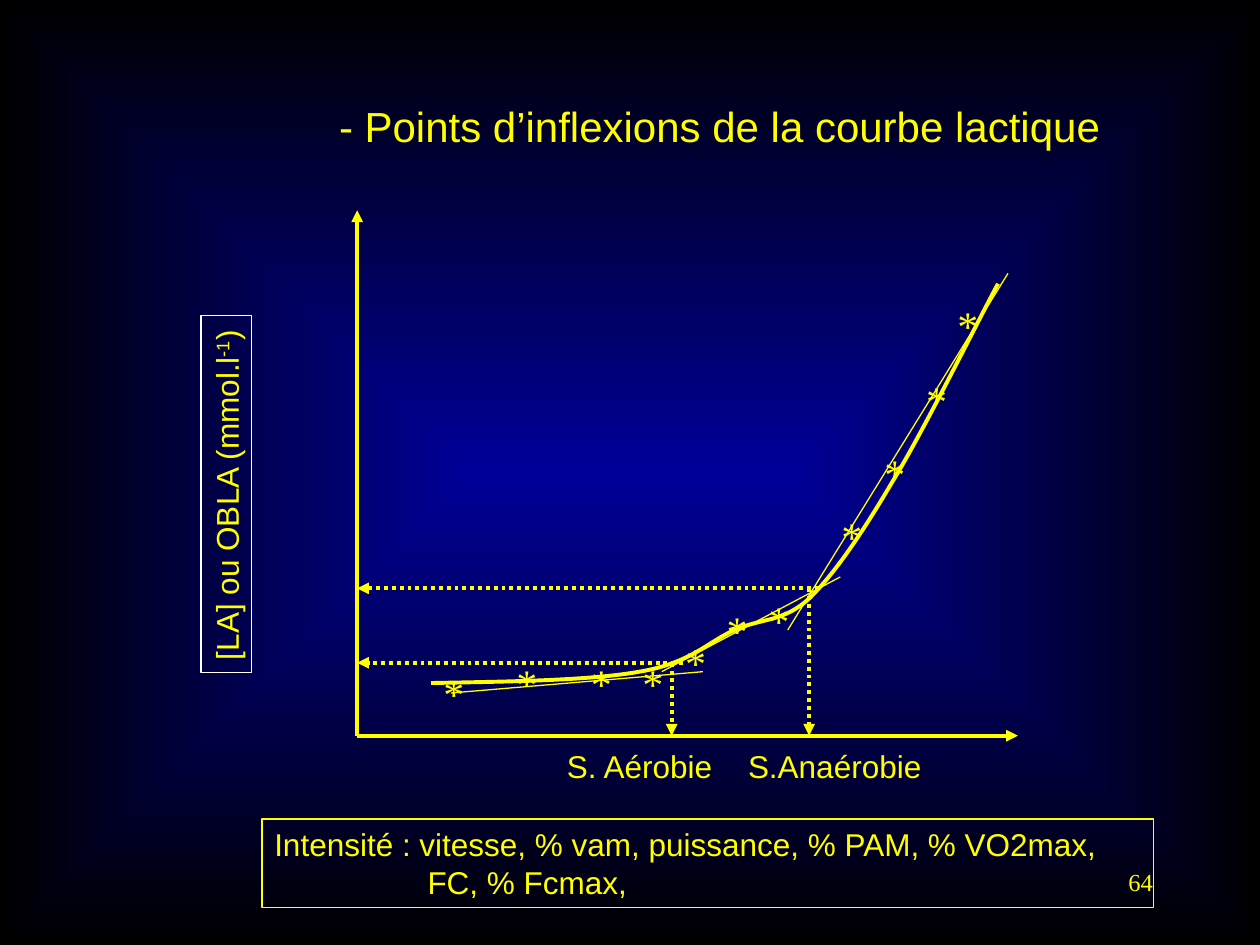
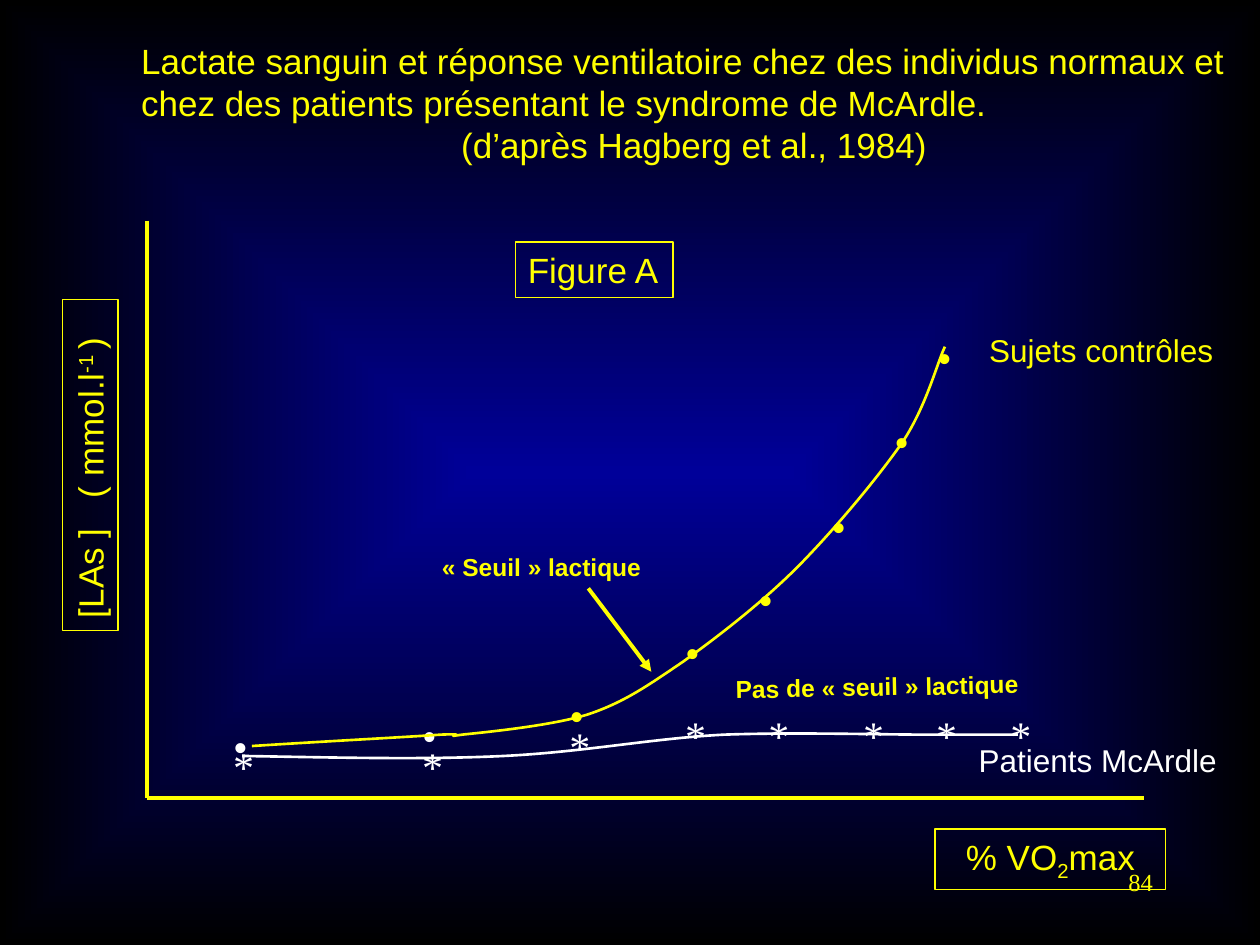
from dataclasses import dataclass
from typing import NamedTuple

from lxml import etree
from pptx import Presentation
from pptx.dml.color import RGBColor
from pptx.enum import dml, shapes, text
from pptx.oxml.ns import qn
from pptx.util import Cm, Pt

YELLOW, WHITE = "FFFF00", "FFFFFF"
NAVY, BLACK = "000099", "000000"
SANS, SERIF = "Arial", "Times New Roman"
LEFT, CENTER, RIGHT = text.PP_ALIGN.LEFT, text.PP_ALIGN.CENTER, text.PP_ALIGN.RIGHT
Point = tuple[float, float]


class Run(NamedTuple):
    text: str
    baseline: int = 0  # percent: positive raises, negative lowers


@dataclass
class Label:
    """A text box; lengths in centimetres."""
    left: float
    top: float
    width: float
    height: float
    runs: list[Run]
    size: int = 18
    font: str = SANS
    color: str = YELLOW
    bold: bool = False
    align: text.PP_ALIGN = LEFT
    border: str = ""
    rotation: float = 0
    wrap: bool = False
    tab: float = 0
    hanging: float = 0


@dataclass
class Line:
    start: Point
    end: Point
    width: float = 2.25
    arrow: bool = False
    dotted: bool = False


@dataclass
class Curve:
    """Start point, then three points for each Bézier segment."""
    points: list[Point]
    width: float
    color: str = YELLOW


@dataclass
class Markers:
    symbol: str
    width: float
    places: list[Point]
    color: str = YELLOW


def rgb(value: str) -> RGBColor:
    return RGBColor.from_string(value)


def add_runs(p, runs: list[Run], size: int, font: str = SANS,
             color: str = YELLOW, bold: bool = False) -> None:
    for run in runs:
        if run.text == "\n":
            p.add_line_break()
            continue
        r = p.add_run()
        r.text = run.text
        r.font.size, r.font.name, r.font.bold = Pt(size), font, bold
        r.font.color.rgb = rgb(color)
        if run.baseline:
            r.font._element.set("baseline", str(run.baseline * 1000))


def add_label(s, label: Label) -> None:
    place = [Cm(v) for v in (label.left, label.top, label.width, label.height)]
    if label.border:
        sp = s.shapes.add_shape(shapes.MSO_SHAPE.RECTANGLE, *place)
        sp.shadow.inherit = False
        sp.fill.background()
        sp.line.color.rgb = rgb(label.border)
        sp.line.width = Pt(0.75)
    else:
        sp = s.shapes.add_textbox(*place)
    sp.rotation = label.rotation
    tf = sp.text_frame
    tf.word_wrap = label.wrap
    tf.vertical_anchor = text.MSO_ANCHOR.TOP
    p = tf.paragraphs[0]
    p.alignment = label.align
    pPr = p._p.get_or_add_pPr()
    if label.hanging:
        pPr.set("marL", str(Cm(label.hanging)))
        pPr.set("indent", str(-Cm(label.hanging)))
    if label.tab:
        tabs = etree.SubElement(pPr, qn("a:tabLst"))
        etree.SubElement(tabs, qn("a:tab"), pos=str(Cm(label.tab)), algn="l")
    add_runs(p, label.runs, label.size, label.font, label.color, label.bold)


def add_line(s, line: Line) -> None:
    cx = s.shapes.add_connector(shapes.MSO_CONNECTOR.STRAIGHT,
                                *(Cm(v) for v in line.start + line.end))
    cx.line.color.rgb = rgb(YELLOW)
    cx.line.width = Pt(line.width)
    if line.dotted:
        cx.line.dash_style = dml.MSO_LINE.ROUND_DOT
    if line.arrow:
        etree.SubElement(cx.line._get_or_add_ln(), qn("a:tailEnd"), type="triangle")
    etree.SubElement(cx._element.spPr, qn("a:effectLst"))


def add_curve(s, curve: Curve) -> None:
    points = [(Cm(x), Cm(y)) for x, y in curve.points]
    builder = s.shapes.build_freeform(*points[0])
    builder.add_line_segments(points[1:], close=False)
    sp = builder.convert_to_shape()
    sp.shadow.inherit = False
    sp.fill.background()
    sp.line.color.rgb = rgb(curve.color)
    sp.line.width = Pt(curve.width)
    # Turn every three straight segments into one Bézier segment
    outline = next(sp._element.iter(qn("a:path")))
    segments = outline.findall(qn("a:lnTo"))
    for i in range(0, len(segments), 3):
        bezier = etree.SubElement(outline, qn("a:cubicBezTo"))
        for segment in segments[i:i + 3]:
            bezier.append(segment[0])
            outline.remove(segment)


def add_markers(s, markers: Markers) -> None:
    for left, top in markers.places:
        add_label(s, Label(left, top, markers.width, 1.27, [Run(markers.symbol)],
                           24, SERIF, markers.color))


def set_background(master) -> None:
    fill = master.background.fill
    fill.gradient()
    for stop, color in zip(fill.gradient_stops, (NAVY, BLACK)):
        stop.color.rgb = rgb(color)
    grad = next(master.element.iter(qn("a:gradFill")))
    for lin in grad.findall(qn("a:lin")):
        grad.remove(lin)
    rect = etree.SubElement(grad, qn("a:path"), path="rect")
    etree.SubElement(rect, qn("a:fillToRect"), {side: "50000" for side in "ltrb"})


def add_slide(prs, number: str, place: tuple, size: int,
              title: list[tuple[str, text.PP_ALIGN]], parts: list):
    s = prs.slides.add_slide(prs.slide_layouts.get_by_name("Title Only"))
    sp = s.shapes.title
    sp.left, sp.top, sp.width, sp.height = (Cm(v) for v in place)
    tf = sp.text_frame
    tf.auto_size = text.MSO_AUTO_SIZE.NONE
    tf.word_wrap = True
    tf.vertical_anchor = text.MSO_ANCHOR.TOP
    for i, (line, align) in enumerate(title):
        p = tf.add_paragraph() if i else tf.paragraphs[0]
        p.alignment = align
        add_runs(p, [Run(line)], size)
    add_label(s, Label(18.21, 17.35, 5.28, 1.27, [Run(number)], 14, SERIF,
                       align=RIGHT, wrap=True))
    draw = {Label: add_label, Line: add_line, Curve: add_curve, Markers: add_markers}
    for part in parts:
        draw[type(part)](s, part)


def lactate_curve_parts() -> list:
    origin_x, origin_y = 7.2, 14.83
    aerobic_y, anaerobic_y = 13.36, 11.86
    return [
        # Axes
        Line((origin_x, origin_y), (20.52, origin_y), arrow=True),
        Line((origin_x, origin_y), (origin_x, 4.24), arrow=True),
        # Threshold projections
        Line((13.77, aerobic_y), (origin_x, aerobic_y), arrow=True, dotted=True),
        Line((16.51, anaerobic_y), (origin_x, anaerobic_y), arrow=True, dotted=True),
        Line((13.54, aerobic_y), (13.54, origin_y), arrow=True, dotted=True),
        Line((16.31, anaerobic_y), (16.31, origin_y), arrow=True, dotted=True),
        # Axis labels
        Label(0.97, 9.45, 7.19, 1.02,
              [Run("[LA] ou OBLA (mmol.l"), Run("-1", 30), Run(")")],
              border=WHITE, rotation=270),
        Label(5.28, 16.51, 17.98, 1.78,
              [Run("Intensité : vitesse, % vam, puissance, % PAM, % VO2max,"),
               Run("\n"), Run("FC, % Fcmax,")],
              border=YELLOW, wrap=True, hanging=3.09),
        Label(11.18, 14.94, 7.8, 1.02, [Run("S. Aérobie\tS.Anaérobie")],
              wrap=True, tab=3.65),
        # Measurements, tangents and curve
        Markers("*", 0.92, [
            (19.05, 5.92), (18.42, 7.42), (17.58, 8.89), (16.71, 10.16),
            (15.24, 11.86), (14.4, 12.07), (13.56, 12.7), (12.7, 13.13),
            (11.66, 13.13), (10.16, 13.13), (8.69, 13.34)]),
        Line((13.34, 13.54), (16.94, 11.63), 0.75),
        Line((20.32, 5.51), (15.88, 12.7), 0.75),
        Line((9.09, 13.97), (14.17, 13.54), 0.75),
        Curve([(8.69, 13.77),
               (10.29, 13.74), (11.89, 13.72), (12.9, 13.54),
               (13.94, 13.36), (14.25, 12.95), (14.81, 12.7),
               (15.39, 12.45), (15.77, 12.55), (16.31, 12.07),
               (16.81, 11.58), (17.35, 10.8), (17.98, 9.73),
               (18.62, 8.69), (19.76, 6.38), (20.12, 5.72)], 2.25),
    ]


def mcardle_parts() -> list:
    origin = (2.97, 16.08)
    return [
        # Axes and their labels
        Line((2.97, 4.45), origin),
        Line(origin, (23.06, 16.08)),
        Label(-1.52, 8.81, 6.68, 1.12,
              [Run("[LAs ]\t( mmol.l"), Run("-1 ", 30), Run(")")], 20,
              border=YELLOW, rotation=270, wrap=True, tab=2.42),
        Label(18.85, 16.71, 4.65, 1.22, [Run("% VO"), Run("2", -25), Run("max")], 20,
              align=CENTER, border=YELLOW, wrap=True),
        # McArdle patients
        Curve([(4.88, 15.24),
               (6.71, 15.27), (8.53, 15.32), (10.16, 15.24),
               (11.79, 15.16), (13.18, 14.88), (14.61, 14.81),
               (16.03, 14.76), (17.78, 14.81), (18.62, 14.81),
               (19.25, 14.81), (19.9, 14.81), (20.52, 14.81)], 1.5, WHITE),
        Markers("*", 0.92, [
            (4.45, 14.81), (8.26, 14.81), (11.23, 14.4), (13.56, 14.17),
            (15.24, 14.17), (17.15, 14.17), (18.62, 14.17), (20.12, 14.17)], WHITE),
        Label(19.48, 14.81, 5.31, 1.02, [Run("Patients McArdle")], color=WHITE),
        # Control subjects
        Markers("•", 0.8, [
            (18.64, 6.55), (17.78, 8.26), (16.51, 9.96), (15.04, 11.43),
            (13.56, 12.5), (11.23, 13.77)]),
        Markers("•", 0.8, [(8.26, 14.17), (4.45, 14.4)], WHITE),
        Curve([(5.08, 15.04),
               (6.63, 14.94), (8.18, 14.86), (8.89, 14.81),
               (9.6, 14.78), (8.81, 14.88), (9.32, 14.81),
               (9.8, 14.76), (11.13, 14.63), (11.86, 14.4),
               (12.6, 14.15), (13.06, 13.82), (13.77, 13.34),
               (14.45, 12.85), (15.34, 12.17), (16.08, 11.43),
               (16.81, 10.69), (17.7, 9.63), (18.21, 8.89),
               (18.69, 8.15), (18.9, 7.29), (19.05, 6.99)], 1.5),
        Label(19.69, 6.55, 5.03, 1.02, [Run("Sujets contrôles")]),
        # Figure name and threshold notes
        Label(10.39, 4.88, 3.18, 1.12, [Run("Figure A")], 20, border=YELLOW),
        Label(14.58, 13.41, 6.6, 0.86, [Run("Pas de « seuil » lactique")], 14,
              bold=True, rotation=-1.1),
        Label(8.66, 11, 4.65, 0.86, [Run("« Seuil » lactique")], 14, bold=True),
        Line((11.86, 11.86), (13.13, 13.54), arrow=True),
    ]


def main() -> None:
    prs = Presentation()
    prs.slide_width, prs.slide_height = Cm(25.4), Cm(19.05)
    set_background(prs.slide_master)
    add_slide(prs, "64", (6.58, 1.9, 16.2, 1.27), 24,
              [("- Points d’inflexions de la courbe lactique", LEFT)],
              lactate_curve_parts())
    add_slide(prs, "84", (2.59, 0.66, 22.81, 2.79), 20,
              [("Lactate sanguin et réponse ventilatoire chez des individus normaux et "
                "chez des patients présentant le syndrome de McArdle.", LEFT),
               ("(d’après Hagberg et al., 1984)", CENTER)],
              mcardle_parts())
    prs.save("out.pptx")


if __name__ == "__main__":
    main()
